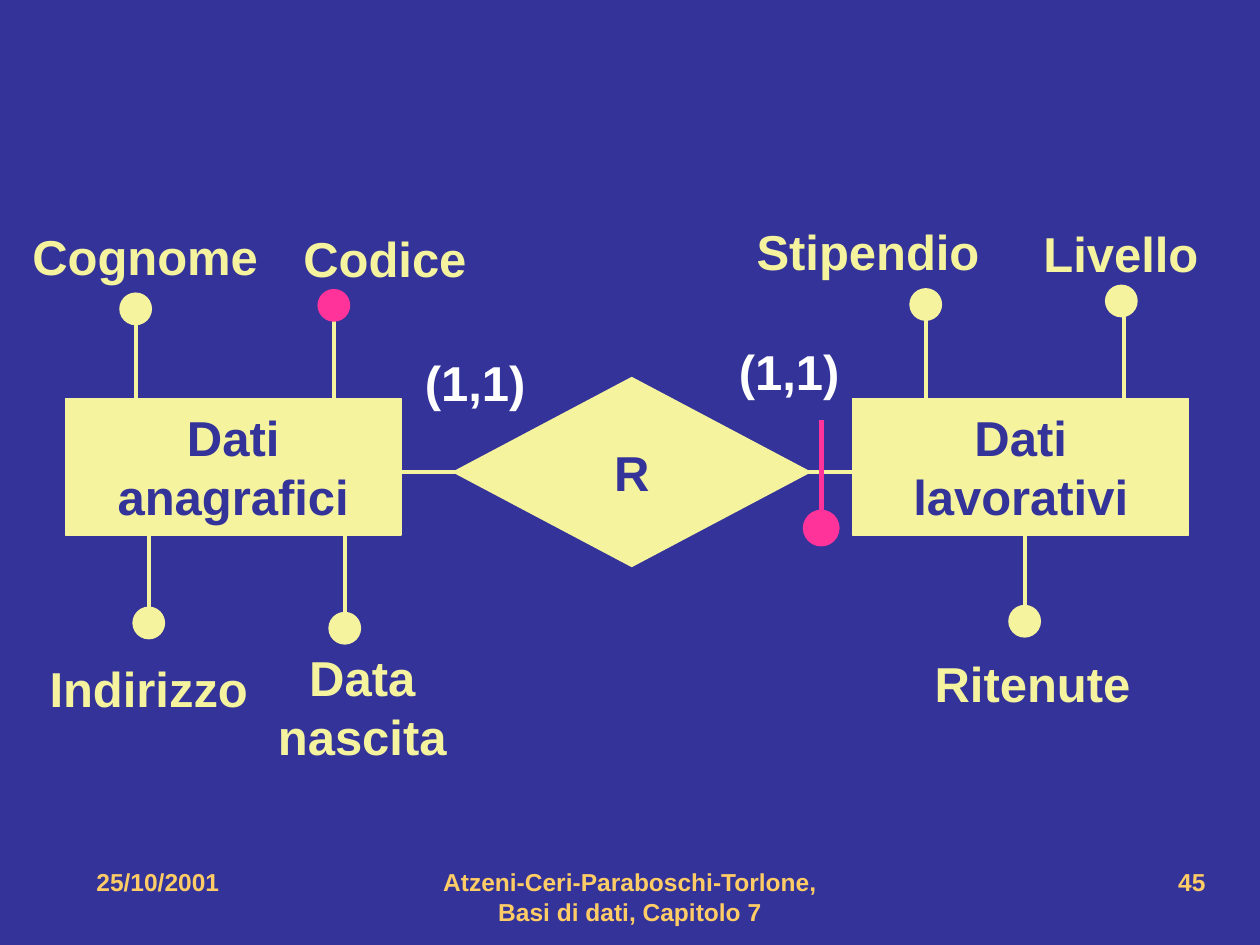
"""Entity-relationship slide: two entities joined by a one-to-one relationship."""
from pptx import Presentation
from pptx import util as u
from pptx.dml.color import RGBColor
from pptx.enum import shapes, text
from pptx.oxml import xmlchemy

NAVY = RGBColor(0x33, 0x33, 0x99)
CREAM = RGBColor(0xF5, 0xF3, 0x9D)
PINK = RGBColor(0xFF, 0x33, 0x99)
GOLD = RGBColor(0xFF, 0xCC, 0x66)
WHITE = RGBColor(0xFF, 0xFF, 0xFF)

LEFT, CENTER, RIGHT = text.PP_ALIGN.LEFT, text.PP_ALIGN.CENTER, text.PP_ALIGN.RIGHT
TOP, MIDDLE = text.MSO_ANCHOR.TOP, text.MSO_ANCHOR.MIDDLE
SHAPE = shapes.MSO_SHAPE

ENTITY_TOP, ENTITY_WIDTH, ENTITY_HEIGHT = 227.75, 192, 78
AXIS = 269.75


def write(tf, words, size=28, color=CREAM, align=CENTER, anchor=TOP, wrap=False, font="Arial"):
    tf.word_wrap = wrap
    tf.vertical_anchor = anchor
    for i, line in enumerate(words.split("\n")):
        p = tf.add_paragraph() if i else tf.paragraphs[0]
        p.alignment = align
        r = p.add_run()
        r.text = line
        r.font.name, r.font.size, r.font.bold = font, u.Pt(size), True
        r.font.color.rgb = color


class Diagram:
    def __init__(self, slide, fill=CREAM, ink=NAVY, dot=18):
        self.s, self.fill, self.ink, self.dot_size = slide, fill, ink, dot
        slide.background.fill.solid()
        slide.background.fill.fore_color.rgb = ink

    def shape(self, kind, x, y, w, h, words="", color=None, line=0.75):
        sp = self.s.shapes.add_shape(kind, u.Pt(x), u.Pt(y), u.Pt(w), u.Pt(h))
        sp.shadow.inherit = False
        sp.fill.solid()
        sp.fill.fore_color.rgb = sp.line.color.rgb = color or self.fill
        sp.line.width = u.Pt(line)
        if words:
            write(sp.text_frame, words, color=self.ink, anchor=MIDDLE)

    def line(self, x1, y1, x2, y2, color=None, width=2.25):
        c = self.s.shapes.add_connector(
            shapes.MSO_CONNECTOR.STRAIGHT, u.Pt(x1), u.Pt(y1), u.Pt(x2), u.Pt(y2))
        c.line.color.rgb = color or self.fill
        c.line.width = u.Pt(width)
        c._element.spPr.append(xmlchemy.OxmlElement("a:effectLst"))

    def label(self, words, x, y, w, h=41, **fmt):
        sp = self.s.shapes.add_textbox(u.Pt(x), u.Pt(y), u.Pt(w), u.Pt(h))
        write(sp.text_frame, words, **fmt)

    def dot(self, x, y, color=None, line=0.75):
        d = self.dot_size
        self.shape(SHAPE.OVAL, x - d / 2, y - d / 2, d, d, color=color, line=line)

    def attribute(self, words, box, x, y, color=None, nudge=0):
        edge = ENTITY_TOP if y < ENTITY_TOP else ENTITY_TOP + ENTITY_HEIGHT
        self.line(x + nudge, y, x + nudge, edge)
        self.dot(x, y, color)
        self.label(words, *box)

    def entity(self, words, x):
        self.shape(SHAPE.RECTANGLE, x, ENTITY_TOP, ENTITY_WIDTH, ENTITY_HEIGHT, words)


def main():
    prs = Presentation()
    prs.slide_width, prs.slide_height = u.Pt(720), u.Pt(540)
    d = Diagram(prs.slides.add_slide(prs.slide_layouts[6]))

    d.line(205, AXIS, 499, AXIS)
    d.shape(SHAPE.DIAMOND, 259, 215.75, 204, 108, "R")

    d.attribute("Cognome", (8, 126, 150), 77.5, 176.5)
    d.attribute("Codice", (160, 127, 120), 190.75, 174.5, color=PINK)
    d.attribute("Indirizzo", (15, 373, 140), 85, 356)
    d.attribute("Data\nnascita", (147, 366.5, 120, 75), 197, 359)
    d.attribute("Stipendio", (421, 123, 150), 529, 174)
    d.attribute("Livello", (580.5, 124, 120), 640.75, 172, nudge=1.5)
    d.attribute("Ritenute", (520, 370, 140), 585.5, 355)

    d.entity("Dati\nanagrafici", 37.25)
    d.entity("Dati\nlavorativi", 487.25)

    for x, y in ((231.5, 198), (411, 191.5)):
        d.label("(1,1)", x, y, 80, color=WHITE, anchor=MIDDLE)

    d.line(469.25, 240, 469.25, 302, PINK, 3)
    d.dot(469.25, 301.75, PINK, 3)

    footer = dict(size=14, color=GOLD, wrap=True)
    d.label("25/10/2001", 48, 492, 156, 36, align=LEFT, **footer)
    d.label("Atzeni-Ceri-Paraboschi-Torlone, Basi di dati, Capitolo 7", 246, 492, 228, 36, **footer)
    d.label("45", 516, 492, 180, 36, align=RIGHT, **footer)

    prs.save("out.pptx")


if __name__ == "__main__":
    main()
